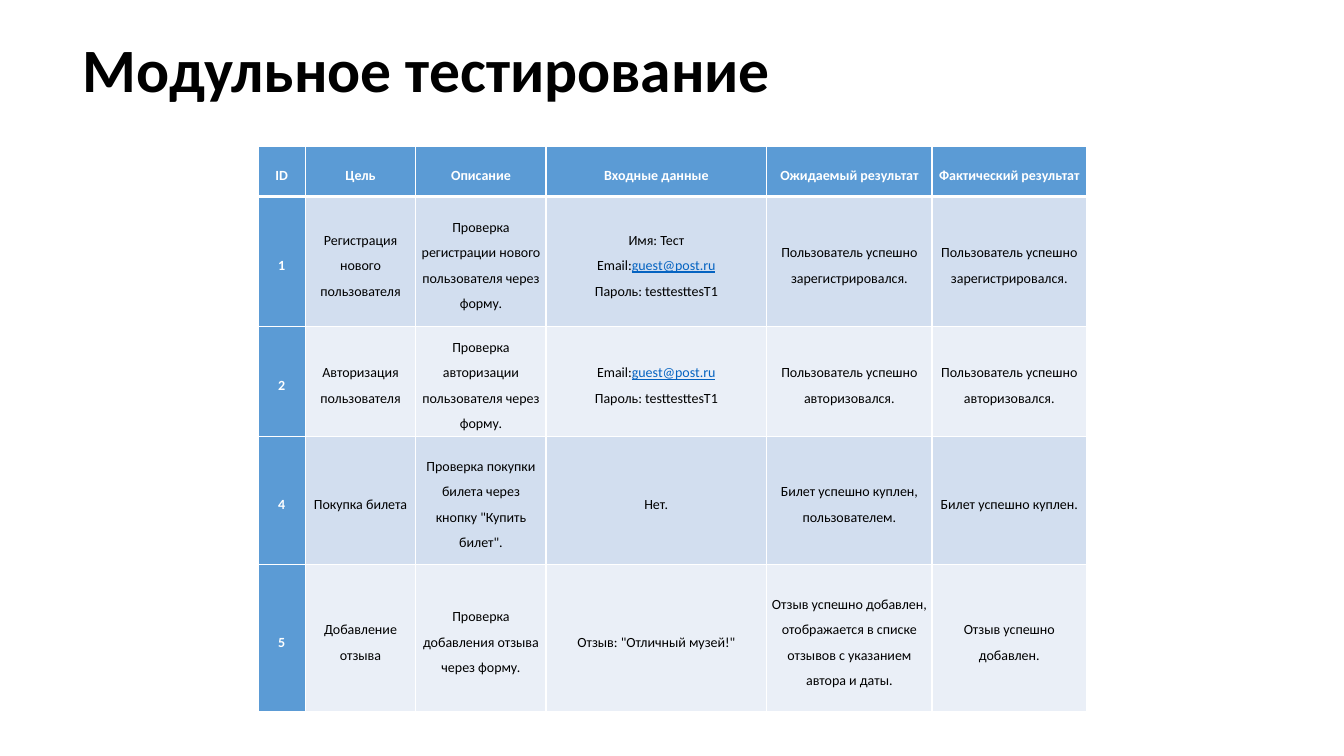
from dataclasses import dataclass

from lxml import etree
from pptx import Presentation
from pptx import util as u
from pptx.dml.color import RGBColor
from pptx.enum import text
from pptx.oxml import ns


@dataclass(frozen=True)
class Theme:
    font: str = "Calibri"
    title_size: int = 44
    table_size: int = 10
    ink: str = "000000"
    paper: str = "FFFFFF"
    accent: str = "5B9BD5"
    bands: tuple = ("D2DEEF", "EAEFF7")
    link: str = "0563C1"
    thin: int = 1
    thick: int = 3


class TestSlide:
    """Draws the title and the test table on one slide in a shared style."""

    def __init__(self, slide, theme):
        self.slide = slide
        self.theme = theme

    def style(self, run, size, color, bold=False, underline=False):
        font = run.font
        font.name = self.theme.font
        font.size = u.Pt(size)
        font.bold = bold
        font.underline = underline
        font.color.rgb = RGBColor.from_string(color)

    def title(self, wording, left, top, width, height):
        box = self.slide.shapes.add_textbox(*map(u.Cm, (left, top, width, height)))
        frame = box.text_frame
        frame.word_wrap = True
        frame.vertical_anchor = text.MSO_ANCHOR.MIDDLE
        frame.text = wording
        heading = frame.paragraphs[0]
        heading.line_spacing = 0.9
        self.style(heading.runs[0], self.theme.title_size, self.theme.ink, bold=True)

    def border(self, cell, side, points):
        properties = cell._tc.get_or_add_tcPr()
        line = etree.SubElement(properties, ns.qn(f"a:ln{side}"), w=str(u.Pt(points)))
        fill = etree.SubElement(line, ns.qn("a:solidFill"))
        etree.SubElement(fill, ns.qn("a:srgbClr"), val=self.theme.paper)

    def cell(self, cell, wording, row, column, email):
        theme = self.theme
        is_heading = row == 0 or column == 0
        for side in "LRTB":
            under_header = (row, side) in ((0, "B"), (1, "T"))
            self.border(cell, side, theme.thick if under_header else theme.thin)
        cell.fill.solid()
        fill = theme.accent if is_heading else theme.bands[(row - 1) % 2]
        cell.fill.fore_color.rgb = RGBColor.from_string(fill)
        cell.vertical_anchor = text.MSO_ANCHOR.MIDDLE
        cell.margin_left = cell.margin_right = u.Cm(0.1)
        cell.margin_top = cell.margin_bottom = 0
        cell.text_frame.text = wording
        for paragraph in cell.text_frame.paragraphs:
            paragraph.alignment = text.PP_ALIGN.CENTER
            paragraph.line_spacing = 1.5
            label, address, _ = paragraph.text.partition(email)
            paragraph.runs[0].text = label
            color = theme.paper if is_heading else theme.ink
            self.style(paragraph.runs[0], theme.table_size, color, bold=is_heading)
            if address:
                link = paragraph.add_run()
                link.text = address
                self.style(link, theme.table_size, theme.link, underline=True)

    def table(self, rows, left, top, widths, heights, email):
        bounds = map(u.Cm, (left, top, sum(widths), sum(heights)))
        table = self.slide.shapes.add_table(len(rows), len(widths), *bounds).table
        for column, width in zip(table.columns, widths):
            column.width = u.Cm(width)
        for table_row, height in zip(table.rows, heights):
            table_row.height = u.Cm(height)
        for row, wordings in enumerate(rows):
            for column, wording in enumerate(wordings):
                self.cell(table.cell(row, column), wording, row, column, email)


EMAIL = "guest@post.ru"
LOGIN = f"Email:{EMAIL}\nПароль: testtesttesT1"
REGISTERED = "Пользователь успешно зарегистрировался."
AUTHORIZED = "Пользователь успешно авторизовался."
TESTS = [
    ("ID", "Цель", "Описание", "Входные данные", "Ожидаемый результат", "Фактический результат"),
    ("1", "Регистрация нового пользователя",
     "Проверка регистрации нового пользователя через форму.",
     f"Имя: Тест\n{LOGIN}", REGISTERED, REGISTERED),
    ("2", "Авторизация пользователя",
     "Проверка авторизации пользователя через форму.",
     LOGIN, AUTHORIZED, AUTHORIZED),
    ("4", "Покупка билета",
     'Проверка покупки билета через кнопку "Купить билет".',
     "Нет.", "Билет успешно куплен, пользователем.", "Билет успешно куплен."),
    ("5", "Добавление отзыва",
     "Проверка добавления отзыва через форму.",
     'Отзыв: "Отличный музей!"',
     "Отзыв успешно добавлен, отображается в списке отзывов с указанием автора и даты.",
     "Отзыв успешно добавлен."),
]


def main():
    deck = Presentation()
    deck.slide_width, deck.slide_height = u.Cm(33.87), u.Cm(19.05)
    page = TestSlide(deck.slides.add_slide(deck.slide_layouts[6]), Theme())
    page.title("Модульное тестирование", 1.83, 0, 29.21, 3.68)
    page.table(
        TESTS, 6.5, 3.68,
        widths=(1.19, 2.79, 3.28, 5.56, 4.17, 3.89),
        heights=(1.27, 3.28, 2.77, 3.23, 3.71),
        email=EMAIL,
    )
    deck.save("out.pptx")


if __name__ == "__main__":
    main()
